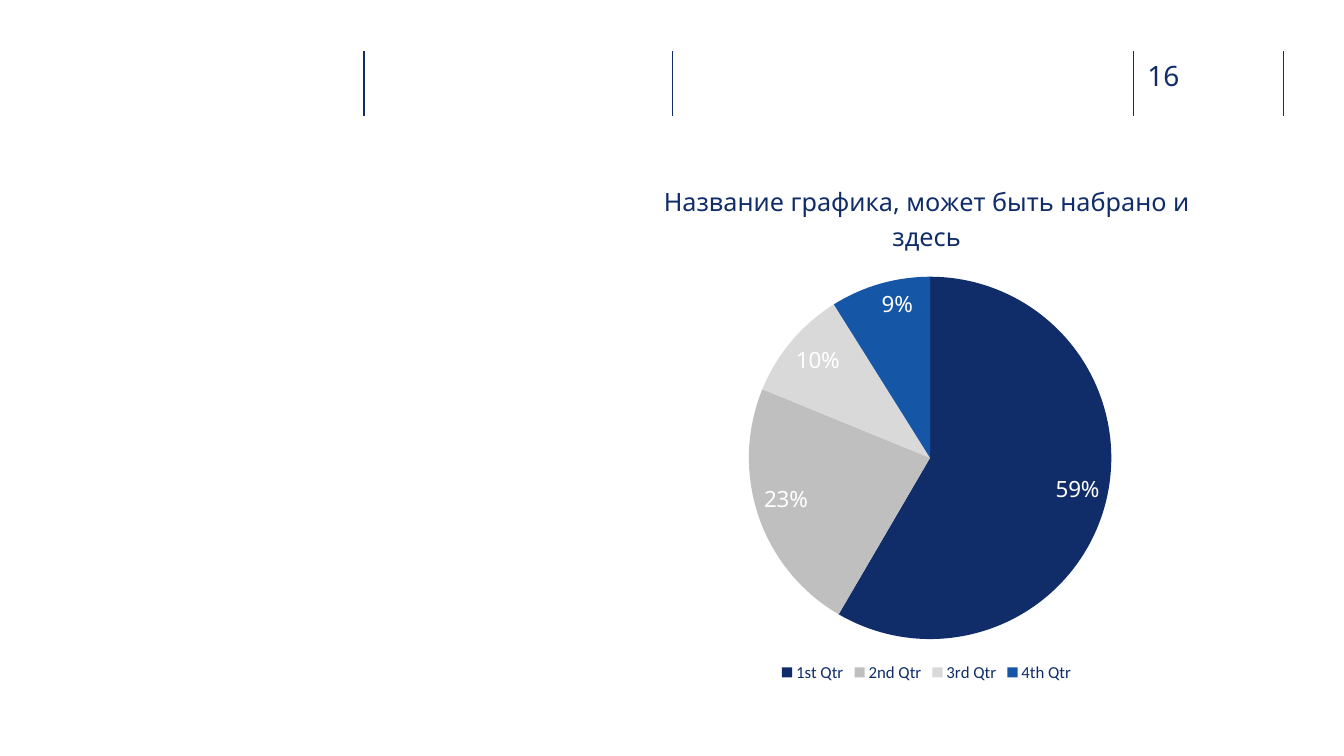
from dataclasses import dataclass

from lxml import etree
from pptx import Presentation
from pptx.chart.data import CategoryChartData
from pptx.dml.color import RGBColor
from pptx.enum.chart import XL_CHART_TYPE, XL_LABEL_POSITION, XL_LEGEND_POSITION
from pptx.enum.shapes import MSO_CONNECTOR
from pptx.oxml import parse_xml
from pptx.oxml.ns import nsdecls, qn
from pptx.util import Inches, Pt

PIE = XL_CHART_TYPE.PIE
INSIDE_END = XL_LABEL_POSITION.INSIDE_END
BOTTOM = XL_LEGEND_POSITION.BOTTOM
STRAIGHT = MSO_CONNECTOR.STRAIGHT

COLORS = {
    "navy": "102D69",
    "gray": "BFBFBF",
    "light_gray": "D9D9D9",
    "blue": "1656A6",
    "white": "FFFFFF",
}
HEADING_FONT = "Noto Sans"
BODY_FONT = "Calibri"

# Grid of 100 columns by 100 rows
WIDTH, HEIGHT = Inches(13.33), Inches(7.5)
DIVIDER_COLUMNS = (27.08, 50.04, 84.32, 95.5)
DIVIDER_TOP, DIVIDER_BOTTOM = 6.8, 15.33


@dataclass(frozen=True)
class Area:
    column: float
    row: float
    columns: float
    rows: float

    def box(self) -> tuple[int, int, int, int]:
        return col(self.column), row(self.row), col(self.columns), row(self.rows)


@dataclass(frozen=True)
class Quarter:
    name: str
    percent: int
    color: str


PAGE_NUMBER_AREA = Area(85.37, 7.73, 5.48, 4.53)
CHART_AREA = Area(42.39, 21.33, 53.11, 69.47)
PIE_SHARES = {"x": 0.25, "y": 0.22, "w": 0.51, "h": 0.69}
QUARTERS = (
    Quarter("1st Qtr", 59, "navy"),
    Quarter("2nd Qtr", 23, "gray"),
    Quarter("3rd Qtr", 10, "light_gray"),
    Quarter("4th Qtr", 9, "blue"),
)


def col(count: float) -> int:
    return round(WIDTH * count / 100)


def row(count: float) -> int:
    return round(HEIGHT * count / 100)


def rgb(name: str) -> RGBColor:
    return RGBColor.from_string(COLORS[name])


def style_font(font, family: str, size: float, color: str) -> None:
    font.name = family
    font.size = Pt(size)
    font.bold = False
    font.color.rgb = rgb(color)


def draw_divider(slide, column: float) -> None:
    divider = slide.shapes.add_connector(
        STRAIGHT, col(column), row(DIVIDER_TOP), col(column), row(DIVIDER_BOTTOM))
    divider.line.color.rgb = rgb("navy")
    divider.line.width = Pt(1)
    etree.SubElement(divider._element.spPr, qn("a:effectLst"))


def draw_page_number(slide, number: str) -> None:
    frame = slide.shapes.add_textbox(*PAGE_NUMBER_AREA.box()).text_frame
    frame.margin_left = frame.margin_right = 0
    frame.margin_top = frame.margin_bottom = 0
    frame.word_wrap = True
    frame.text = number
    style_font(frame.paragraphs[0].runs[0].font, HEADING_FONT, 20, "navy")


def place_pie(chart) -> None:
    """Fix the pie's square inside the chart area."""
    plot_area = chart._chartSpace.chart.plotArea
    for automatic in plot_area.findall(qn("c:layout")):
        plot_area.remove(automatic)
    shares = "".join(f'<c:{key} val="{share}"/>' for key, share in PIE_SHARES.items())
    plot_area.insert(0, parse_xml(
        f'<c:layout {nsdecls("c")}><c:manualLayout><c:layoutTarget val="inner"/>'
        f'<c:xMode val="edge"/><c:yMode val="edge"/>{shares}'
        '</c:manualLayout></c:layout>'))


def draw_chart(slide, title: str) -> None:
    data = CategoryChartData()
    data.categories = [quarter.name for quarter in QUARTERS]
    data.add_series("Series 1", [quarter.percent for quarter in QUARTERS])
    chart = slide.shapes.add_chart(PIE, *CHART_AREA.box(), data).chart
    style_font(chart.font, BODY_FONT, 10, "navy")

    # Title
    chart.has_title = True
    heading = chart.chart_title.text_frame
    heading.text = title
    style_font(heading.paragraphs[0].runs[0].font, HEADING_FONT, 18, "navy")
    chart.chart_title.include_in_layout = False

    # Legend
    chart.has_legend = True
    chart.legend.position = BOTTOM
    chart.legend.include_in_layout = False
    style_font(chart.legend.font, BODY_FONT, 12, "navy")

    # Slices
    plot = chart.plots[0]
    plot.vary_by_categories = True
    for index, quarter in enumerate(QUARTERS):
        fill = plot.series[0].points[index].format.fill
        fill.solid()
        fill.fore_color.rgb = rgb(quarter.color)
    place_pie(chart)

    # The values are rounded percentages, so the labels show them directly
    labels = plot.series[0].data_labels
    labels.show_value = True
    labels.number_format = '0"%"'
    labels.number_format_is_linked = False
    labels.position = INSIDE_END
    style_font(labels.font, HEADING_FONT, 16, "white")


def main() -> None:
    deck = Presentation()
    deck.slide_width, deck.slide_height = WIDTH, HEIGHT
    slide = deck.slides.add_slide(deck.slide_layouts[6])

    # Header
    for column in DIVIDER_COLUMNS:
        draw_divider(slide, column)
    draw_page_number(slide, "16")

    # Quarterly pie
    draw_chart(slide, "Название графика, может быть набрано и здесь")
    deck.save("out.pptx")


if __name__ == "__main__":
    main()
